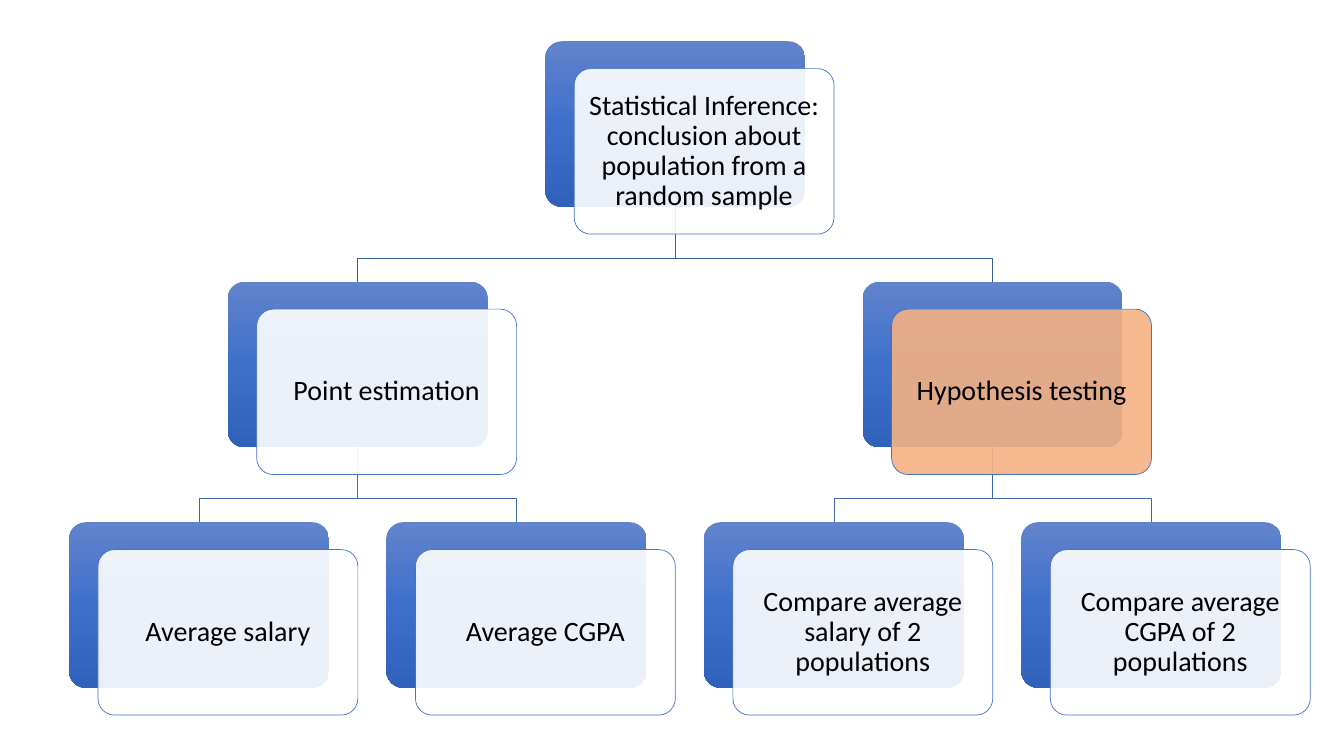
from copy import deepcopy

from lxml import etree
from pptx import Presentation
from pptx.dml.color import RGBColor
from pptx.enum.shapes import MSO_SHAPE
from pptx.enum.text import MSO_ANCHOR, PP_ALIGN
from pptx.oxml.ns import qn
from pptx.util import Cm, Pt

ROUNDED = MSO_SHAPE.ROUNDED_RECTANGLE
MIDDLE = MSO_ANCHOR.MIDDLE
CENTER = PP_ALIGN.CENTER

FONT = "Calibri"
BLANK_LAYOUT = 6
COLORS = {
    "text": "000000",
    "card": "FFFFFF",
    "highlight": "F4B183",
    "outline": "4472C4",
    "root_link": "365B9D",
    "branch_link": "3E67B2",
}
BACK_GRADIENT = [(0, "6183CB"), (0.5, "3E70CA"), (1, "3062BB")]

# Tree geometry in centimetres
LEFT, TOP = 1.74, 1.04
COLUMN_STEP, LEVEL_STEP = 8.0, 6.06
CARD_WIDTH, CARD_HEIGHT = 6.55, 4.17
OFFSET_X, OFFSET_Y = 0.73, 0.69
LINK_BEND = 1.29

# Name: (level, column, text, fill); a parent sits midway between its children
NODES = {
    "inference": (0, 1.5, "Statistical Inference: conclusion about population "
                          "from a random sample", "card"),
    "estimation": (1, 0.5, "Point estimation", "card"),
    "salary": (2, 0, "Average salary", "card"),
    "cgpa": (2, 1, "Average CGPA", "card"),
    "testing": (1, 2.5, "Hypothesis testing", "highlight"),
    "compare_salary": (2, 2, "Compare average salary of 2 populations", "card"),
    "compare_cgpa": (2, 3, "Compare average CGPA of 2 populations", "card"),
}
LINKS = [
    ("testing", "compare_cgpa", "branch_link"),
    ("testing", "compare_salary", "branch_link"),
    ("inference", "testing", "root_link"),
    ("estimation", "cgpa", "branch_link"),
    ("estimation", "salary", "branch_link"),
    ("inference", "estimation", "root_link"),
]


def rgb(name):
    return RGBColor.from_string(COLORS[name])


def node_corner(name):
    """Return the left and top of a node's back card in centimetres."""
    level, column = NODES[name][:2]
    return LEFT + column * COLUMN_STEP, TOP + level * LEVEL_STEP


def set_outline(shape, color):
    shape.line.color.rgb = rgb(color)
    shape.line.width = Pt(0.5)


def add_link(slide, parent, child, color):
    """Draw an elbow line from a parent's bottom to a child's top."""
    parent_left, parent_top = node_corner(parent)
    child_left, child_top = node_corner(child)
    start_x = Cm(parent_left + CARD_WIDTH / 2)
    end_x = Cm(child_left + CARD_WIDTH / 2)
    start_y = parent_top + CARD_HEIGHT
    bend_y = Cm(start_y + LINK_BEND)

    builder = slide.shapes.build_freeform(start_x, Cm(start_y))
    builder.add_line_segments(
        [(start_x, bend_y), (end_x, bend_y), (end_x, Cm(child_top))], close=False)
    link = builder.convert_to_shape()
    link.shadow.inherit = False
    link.fill.background()
    set_outline(link, color)


def add_card(slide, left, top):
    card = slide.shapes.add_shape(
        ROUNDED, Cm(left), Cm(top), Cm(CARD_WIDTH), Cm(CARD_HEIGHT))
    card.adjustments[0] = 0.1
    card.shadow.inherit = False
    return card


def fill_gradient(shape):
    """Fill from top to bottom with the three stops of BACK_GRADIENT."""
    shape.fill.gradient()
    shape.fill.gradient_angle = 270
    stop_list = shape._element.spPr.find(".//" + qn("a:gsLst"))
    stop_list.append(deepcopy(stop_list[0]))
    for stop, (position, color) in zip(shape.fill.gradient_stops, BACK_GRADIENT):
        stop.position = position
        stop.color.rgb = RGBColor.from_string(color)


def fill_translucent(shape, color, opacity):
    shape.fill.solid()
    shape.fill.fore_color.rgb = rgb(color)
    color_element = shape._element.spPr.find(qn("a:solidFill"))[0]
    etree.SubElement(color_element, qn("a:alpha"), val=str(opacity * 1000))


def write_label(shape, text):
    frame = shape.text_frame
    frame.word_wrap = True
    frame.vertical_anchor = MIDDLE
    frame.margin_left = frame.margin_right = Cm(0.2)
    frame.margin_top = frame.margin_bottom = Cm(0.2)
    paragraph = frame.paragraphs[0]
    paragraph.alignment = CENTER
    paragraph.line_spacing = 0.9
    run = paragraph.add_run()
    run.text = text
    run.font.name = FONT
    run.font.size = Pt(20)
    run.font.color.rgb = rgb("text")


def add_node(slide, name):
    """Draw a gradient card with a labelled, translucent card over it."""
    text, fill = NODES[name][2:]
    left, top = node_corner(name)
    back = add_card(slide, left, top)
    fill_gradient(back)
    back.line.fill.background()

    front = add_card(slide, left + OFFSET_X, top + OFFSET_Y)
    fill_translucent(front, fill, 90)
    set_outline(front, "outline")
    write_label(front, text)


def main():
    presentation = Presentation()
    presentation.slide_width = Cm(33.87)
    presentation.slide_height = Cm(19.05)
    slide = presentation.slides.add_slide(presentation.slide_layouts[BLANK_LAYOUT])
    for parent, child, color in LINKS:
        add_link(slide, parent, child, color)
    for name in NODES:
        add_node(slide, name)
    presentation.save("out.pptx")


if __name__ == "__main__":
    main()
